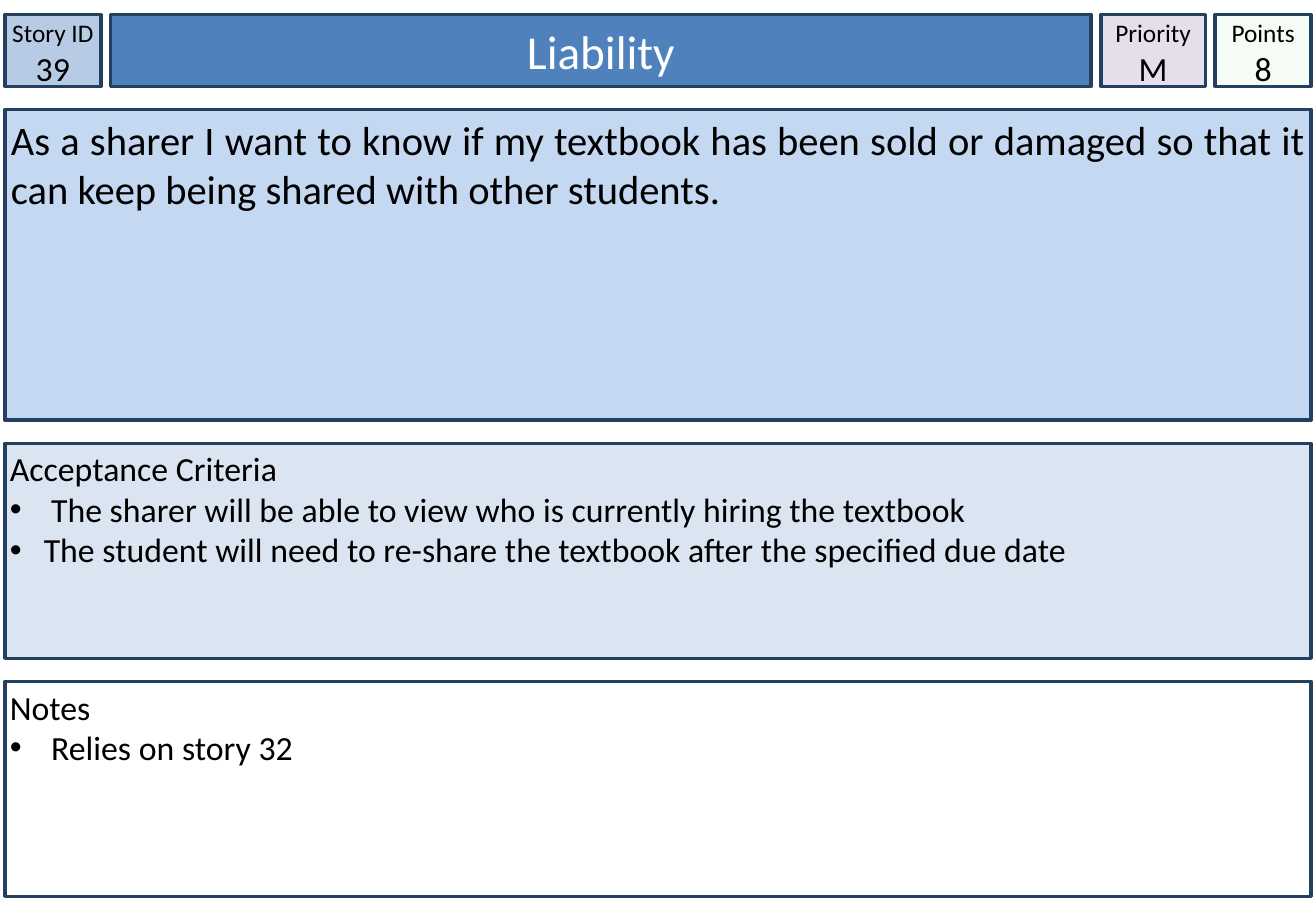
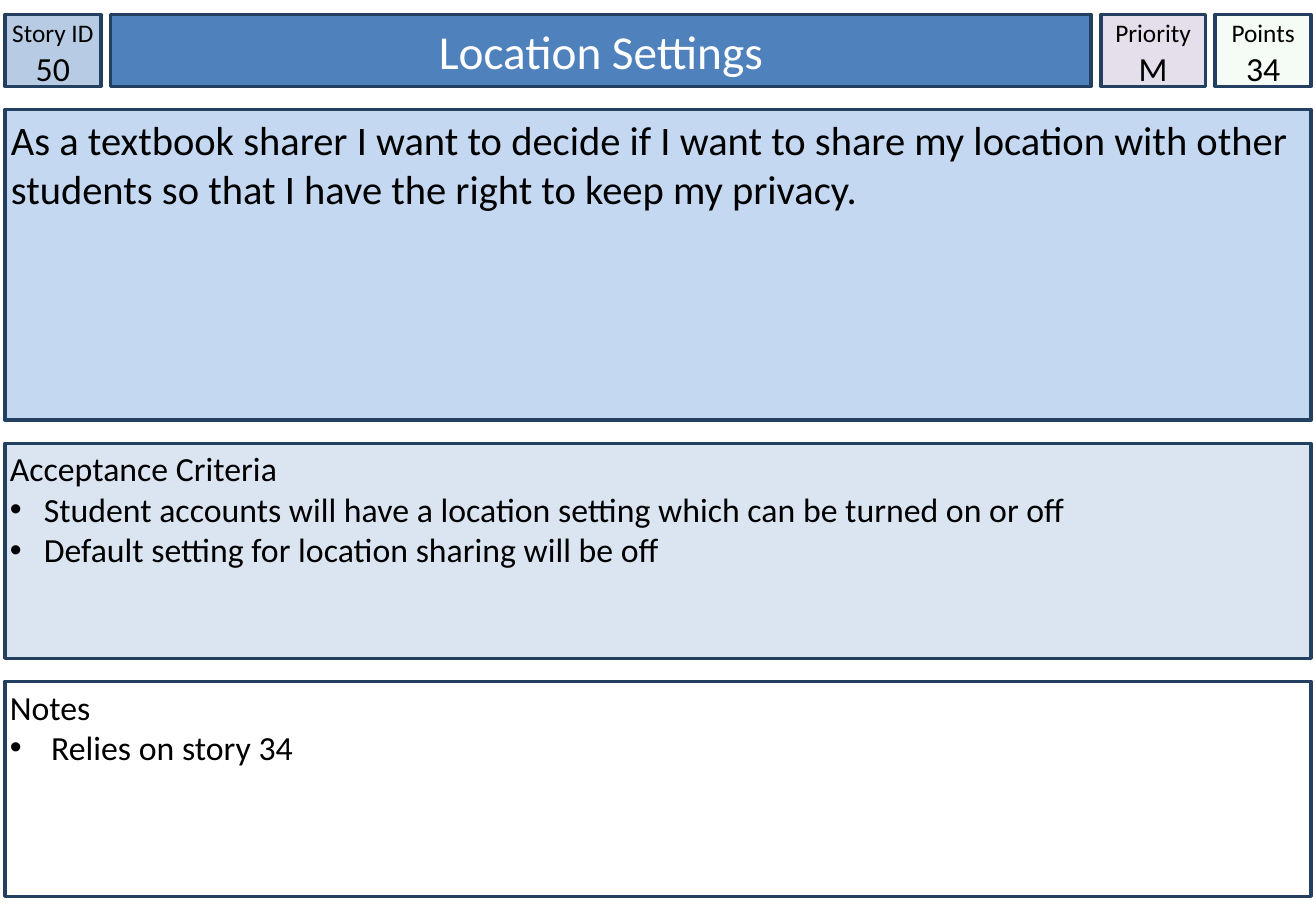
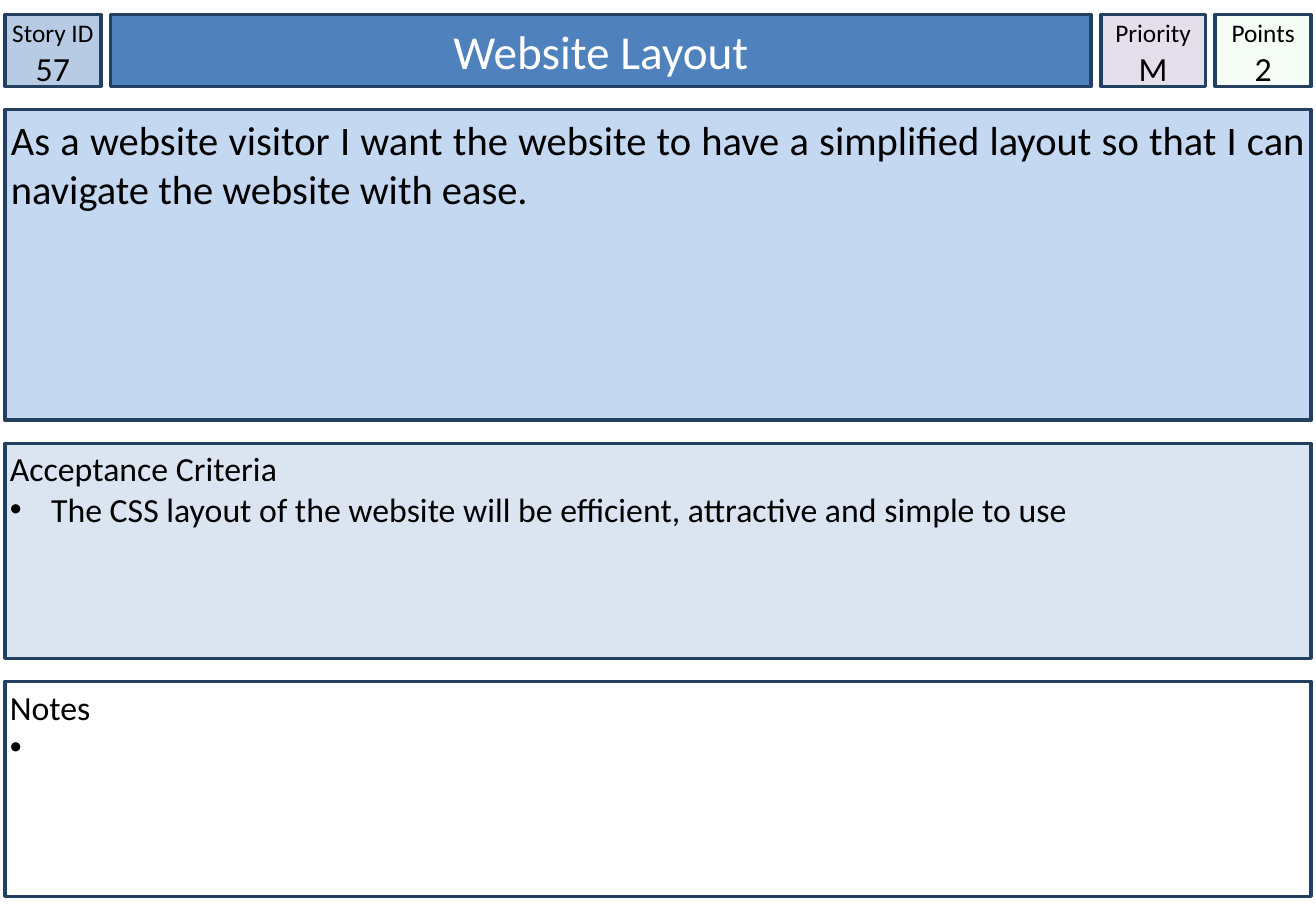
from dataclasses import dataclass

from lxml import etree
from pptx import Presentation
from pptx.dml.color import RGBColor
from pptx.enum.shapes import MSO_SHAPE
from pptx.enum.text import MSO_ANCHOR, PP_ALIGN
from pptx.oxml.ns import qn
from pptx.util import Inches, Pt


@dataclass(frozen=True)
class Theme:
    font: str = "Calibri"
    text: str = "000000"
    title_text: str = "FFFFFF"
    outline: str = "244061"
    outline_width: float = 2
    story_id: str = "B7CCE4"
    title: str = "4F81BD"
    priority: str = "E5DFEC"
    points: str = "CCF0CD"
    points_opacity: int = 20
    story: str = "C5D8F1"
    criteria: str = "DAE5F1"
    notes: str = "FFFFFF"
    label_size: int = 15
    body_size: int = 20
    story_size: int = 24
    title_size: int = 28


THEME = Theme()

# Bullet indents in inches
NEAR, FAR = 0.28, 0.34

CARDS = [
    {
        "id": "39", "title": "Liability", "priority": "M", "points": "8",
        "story": "As a sharer I want to know if my textbook has been sold or damaged "
                 "so that it can keep being shared with other students.",
        "align": PP_ALIGN.JUSTIFY,
        "criteria": [
            ("The sharer will be able to view who is currently hiring the textbook", FAR),
            ("The student will need to re-share the textbook after the specified due date", NEAR),
        ],
        "notes": [("Relies on story 32", FAR)],
    },
    {
        "id": "50", "title": "Location Settings", "priority": "M", "points": "34",
        "story": "As a textbook sharer I want to decide if I want to share my location "
                 "with other students so that I have the right to keep my privacy.",
        "align": PP_ALIGN.LEFT,
        "criteria": [
            ("Student accounts will have a location setting which can be turned on or off", NEAR),
            ("Default setting for location sharing will be off", NEAR),
        ],
        "notes": [("Relies on story 34", FAR)],
    },
    {
        "id": "57", "title": "Website Layout", "priority": "M", "points": "2",
        "story": "As a website visitor I want the website to have a simplified layout "
                 "so that I can navigate the website with ease.",
        "align": PP_ALIGN.JUSTIFY,
        "criteria": [
            ("The CSS layout of the website will be efficient, attractive and simple to use", FAR),
        ],
        "notes": [(" ", NEAR)],
    },
]

# Layout in inches
LEFT, TOP = 0.04, 0.12
HEADER_WIDTHS = {"id": 0.79, "title": 8.07, "priority": 0.86, "points": 0.79}
HEADER_HEIGHT, HEADER_GAP = 0.59, 0.08
PANEL_HEIGHTS = {"story": 2.56, "criteria": 1.77, "notes": 1.77}
PANEL_WIDTH, PANEL_GAP = 10.75, 0.19


def place(start, lengths, gap):
    """Map each name to its (start, length) along one axis."""
    places = {}
    for name, length in lengths.items():
        places[name] = (start, length)
        start += length + gap
    return places


COLUMNS = place(LEFT, HEADER_WIDTHS, HEADER_GAP)
ROWS = place(TOP + HEADER_HEIGHT + PANEL_GAP, PANEL_HEIGHTS, PANEL_GAP)


def add_box(page, left, top, width, height, fill, inset=0.0, anchor=MSO_ANCHOR.TOP):
    box = page.shapes.add_shape(MSO_SHAPE.RECTANGLE, Inches(left), Inches(top),
                                Inches(width), Inches(height))
    box.shadow.inherit = False
    box.fill.solid()
    box.fill.fore_color.rgb = RGBColor.from_string(fill)
    box.line.color.rgb = RGBColor.from_string(THEME.outline)
    box.line.width = Pt(THEME.outline_width)
    frame = box.text_frame
    frame.word_wrap = True
    frame.vertical_anchor = anchor
    frame.margin_left = frame.margin_right = Inches(inset)
    frame.margin_top = frame.margin_bottom = Inches(inset)
    return box


def write(box, lines, align, color=THEME.text):
    """Fill a box with (text, size) lines and return its paragraphs."""
    box.text_frame.text = "\n".join(text for text, _ in lines)
    for para, (_, size) in zip(box.text_frame.paragraphs, lines):
        para.alignment = align
        for span in para.runs:
            span.font.name = THEME.font
            span.font.size = Pt(size)
            span.font.color.rgb = RGBColor.from_string(color)
    return box.text_frame.paragraphs


def add_bullet(para, indent):
    properties = para._p.get_or_add_pPr()
    properties.set("marL", str(Inches(indent)))
    properties.set("indent", str(-Inches(indent)))
    color = etree.SubElement(properties, qn("a:buClr"))
    etree.SubElement(color, qn("a:srgbClr"), val=THEME.text)
    etree.SubElement(properties, qn("a:buFont"), typeface="Arial")
    etree.SubElement(properties, qn("a:buChar"), char="•")


def set_opacity(box, percent):
    color = box.fill._xPr.find(qn("a:solidFill")).find(qn("a:srgbClr"))
    etree.SubElement(color, qn("a:alpha"), val=str(percent * 1000))


def add_tile(page, name, label, value, fill):
    left, width = COLUMNS[name]
    box = add_box(page, left, TOP, width, HEADER_HEIGHT, fill)
    box.text_frame.margin_top = Inches(0.02)
    write(box, [(label, THEME.label_size), (value, THEME.body_size)], PP_ALIGN.CENTER)
    return box


def add_title(page, title):
    left, width = COLUMNS["title"]
    box = add_box(page, left, TOP, width, HEADER_HEIGHT, THEME.title, anchor=MSO_ANCHOR.MIDDLE)
    write(box, [(title, THEME.title_size)], PP_ALIGN.CENTER, THEME.title_text)


def add_panel(page, name, fill, inset):
    top, height = ROWS[name]
    return add_box(page, LEFT, top, PANEL_WIDTH, height, fill, inset)


def add_list_panel(page, name, heading, items, fill):
    box = add_panel(page, name, fill, 0.04)
    lines = [(text, THEME.body_size) for text in [heading] + [text for text, _ in items]]
    paragraphs = write(box, lines, PP_ALIGN.LEFT)
    for para, (_, indent) in zip(paragraphs[1:], items):
        add_bullet(para, indent)


def add_card(deck, card):
    page = deck.slides.add_slide(deck.slide_layouts[6])
    add_tile(page, "id", "Story ID", card["id"], THEME.story_id)
    add_title(page, card["title"])
    add_tile(page, "priority", "Priority", card["priority"], THEME.priority)
    points = add_tile(page, "points", "Points", card["points"], THEME.points)
    set_opacity(points, THEME.points_opacity)
    story = add_panel(page, "story", THEME.story, 0.05)
    write(story, [(card["story"], THEME.story_size)], card["align"])
    add_list_panel(page, "criteria", "Acceptance Criteria", card["criteria"], THEME.criteria)
    add_list_panel(page, "notes", "Notes", card["notes"], THEME.notes)


def main():
    deck = Presentation()
    deck.slide_width, deck.slide_height = Inches(10.83), Inches(7.5)
    for card in CARDS:
        add_card(deck, card)
    deck.save("out.pptx")


if __name__ == "__main__":
    main()
